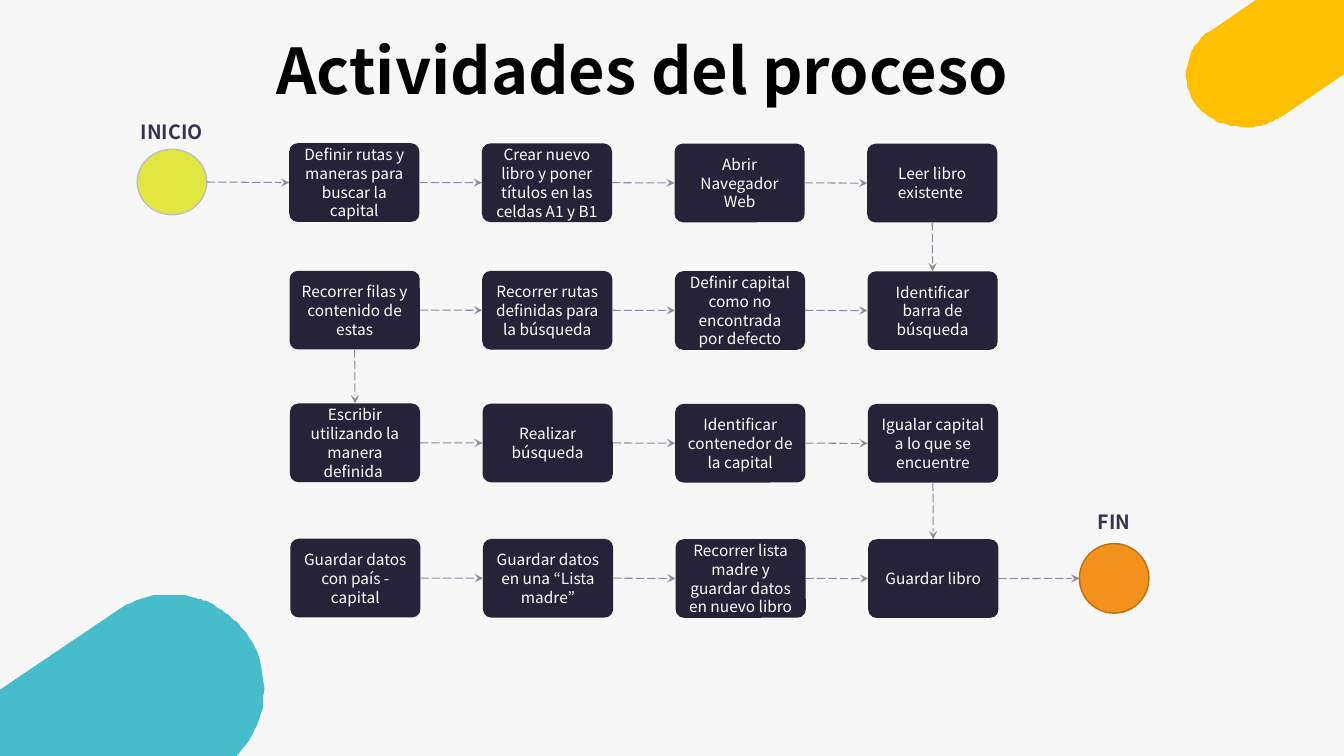
import pptx
import pptx.util
import pptx.dml.color
import pptx.enum.dml
import pptx.enum.shapes
import pptx.enum.text
import pptx.oxml
import pptx.oxml.ns

Pt = pptx.util.Pt
RGB = pptx.dml.color.RGBColor
SHAPE = pptx.enum.shapes.MSO_SHAPE
ANCHOR = pptx.enum.text.MSO_ANCHOR

FONT = "Noto Sans CJK KR"
PAPER = RGB(0xF7, 0xF7, 0xF7)
BLACK = RGB(0, 0, 0)
NAVY = RGB(0x26, 0x22, 0x37)
CREAM = RGB(0xFF, 0xFF, 0xFB)
PLUM = RGB(0x38, 0x32, 0x51)
MAUVE = RGB(0x93, 0x8A, 0xA2)
AMBER = RGB(0xFF, 0xC0, 0x00)
TEAL = RGB(0x47, 0xBC, 0xCA)
LIME = RGB(0xE1, 0xE6, 0x41)
SILVER = RGB(0xBF, 0xBF, 0xBF)
ORANGE = RGB(0xF2, 0x92, 0x1D)
RUST = RGB(0xC1, 0x6F, 0x0B)

# Grid of steps
LEFT, PITCH, DRIFT = 206.6, 137.6, 0.25
TOPS = [102.3, 193.4, 288.2, 384.8]
WIDE, HIGH = 93, 56.2
LEAD = 1.22
STEPS = [
    ["Definir rutas y maneras para buscar la capital",
     "Crear nuevo libro y poner títulos en las celdas A1 y B1",
     "Abrir Navegador Web",
     "Leer libro existente "],
    ["Recorrer filas y contenido de estas",
     "Recorrer rutas definidas para la búsqueda",
     "Definir capital como no encontrada por defecto",
     "Identificar barra de búsqueda"],
    ["Escribir utilizando la manera definida ",
     "Realizar búsqueda",
     "Identificar contenedor de la capital",
     "Igualar capital a lo que se encuentre"],
    ["Guardar datos con país - capital",
     "Guardar datos en una “Lista madre”",
     "Recorrer lista madre y guardar datos en nuevo libro",
     "Guardar libro"],
]
TURNS = [3, 0, 3]  # column of the arrow that leads down from each row

# Corner blobs: a start, then lines (one point) and curves (three points)
SUN = [[(892.1, 90.7)],
       [(878.4, 91.4), (864, 86.4), (855.4, 76.3)],
       [(841.7, 59), (846, 35.3), (864.7, 21.6)],
       [(999.4, -69.8)], [(1010.2, 18.7)], [(915.8, 82.8)],
       [(908.6, 87.8), (900.7, 90.7), (892.1, 90.7)]]
SEA = [[(139, 427)],
       [(120.2, 421.9), (100.1, 424.8), (83.5, 436.3)],
       [(-36, 517)], [(-95.8, 721.4)], [(159.1, 547.9)],
       [(190.1, 527), (198, 485.3), (177.1, 454.3)],
       [(169.2, 442.8), (158.4, 434.2), (146.9, 429.1)],
       [(144, 428.4), (141.1, 427.7), (139, 427)]]


def write(frame, text, size, color, bold=False):
    frame.word_wrap = True
    para = frame.paragraphs[0]
    para.alignment = pptx.enum.text.PP_ALIGN.CENTER
    para.space_before = Pt(0)
    para.line_spacing = Pt(round(size * LEAD, 1))
    run = para.add_run()
    run.text = text
    run.font.name = FONT
    run.font.size = Pt(size)
    run.font.bold = bold
    run.font.color.rgb = color


def paint(shape, fill, edge=None):
    shape.shadow.inherit = False
    shape.fill.solid()
    shape.fill.fore_color.rgb = fill
    if edge is None:
        shape.line.fill.background()
    else:
        shape.line.color.rgb = edge
        shape.line.width = Pt(1)


def bend(start, one, two, end, count=16):
    """Points along a cubic curve, after its start."""
    for i in range(1, count + 1):
        t = i / count
        u = 1 - t
        yield tuple(u**3 * a + 3 * u * u * t * b + 3 * u * t * t * c + t**3 * d
                    for a, b, c, d in zip(start, one, two, end))


def blob(slide, parts, fill):
    dots = list(parts[0])
    for part in parts[1:]:
        dots += part if len(part) == 1 else bend(dots[-1], *part)
    pen = slide.shapes.build_freeform(*dots[0], scale=float(Pt(1)))
    pen.add_line_segments(dots[1:], close=True)
    paint(pen.convert_to_shape(), fill)


def step(slide, row, col, text):
    box = slide.shapes.add_shape(
        SHAPE.ROUNDED_RECTANGLE, Pt(LEFT + PITCH * col + DRIFT * row),
        Pt(TOPS[row] + DRIFT * col / 2), Pt(WIDE), Pt(HIGH))
    box.adjustments[0] = 0.106
    paint(box, NAVY)
    frame = box.text_frame
    frame.vertical_anchor = ANCHOR.MIDDLE
    frame.margin_left = frame.margin_right = Pt(5.76)
    frame.margin_top = frame.margin_bottom = Pt(5.76)
    write(frame, text, 11, CREAM)
    return box


def disc(slide, x, y, high, fill, edge):
    dot = slide.shapes.add_shape(SHAPE.OVAL, Pt(x), Pt(y), Pt(49.7), Pt(high))
    paint(dot, fill, edge)
    return dot


def label(slide, x, y, text):
    box = slide.shapes.add_textbox(Pt(x), Pt(y), Pt(75), Pt(24.5))
    write(box.text_frame, text, 14, PLUM, True)


def arrow(slide, a, b, down=False):
    if down:
        ends = (a.left + a.width // 2, a.top + a.height,
                b.left + b.width // 2, b.top)
    else:
        ends = (a.left + a.width, a.top + a.height // 2,
                b.left, b.top + b.height // 2)
    link = slide.shapes.add_connector(
        pptx.enum.shapes.MSO_CONNECTOR.STRAIGHT, *ends)
    link.line.color.rgb = MAUVE
    link.line.width = Pt(0.75)
    link.line.dash_style = pptx.enum.dml.MSO_LINE.LONG_DASH
    space = pptx.oxml.ns.nsdecls("a")
    link.line._get_or_add_ln().append(
        pptx.oxml.parse_xml(f'<a:tailEnd {space} type="stealth"/>'))
    link._element.spPr.append(pptx.oxml.parse_xml(f"<a:effectLst {space}/>"))


def title(slide, text):
    head = slide.shapes.title
    head.left, head.top = Pt(181.4), Pt(18)
    head.width, head.height = Pt(554.4), Pt(66.2)
    head.text_frame.auto_size = pptx.enum.text.MSO_AUTO_SIZE.NONE
    head.text_frame.vertical_anchor = ANCHOR.TOP
    write(head.text_frame, text, 45, BLACK, True)


def main():
    deck = pptx.Presentation()
    deck.slide_width, deck.slide_height = Pt(960), Pt(540)
    slide = deck.slides.add_slide(deck.slide_layouts[5])
    slide.background.fill.solid()
    slide.background.fill.fore_color.rgb = PAPER

    # Corners and title
    blob(slide, SUN, AMBER)
    blob(slide, SEA, TEAL)
    title(slide, "Actividades del proceso")

    # Start, steps and end
    start = disc(slide, 98, 106.6, 46.8, LIME, SILVER)
    label(slide, 85.2, 82, "INICIO")
    grid = [[step(slide, r, c, text) for c, text in enumerate(row)]
            for r, row in enumerate(STEPS)]
    end = disc(slide, 771, 388.3, 49.7, ORANGE, RUST)
    label(slide, 758.2, 360.7, "FIN")

    # Arrows
    arrow(slide, start, grid[0][0])
    for row in grid:
        for a, b in zip(row, row[1:]):
            arrow(slide, a, b)
    for r, col in enumerate(TURNS):
        arrow(slide, grid[r][col], grid[r + 1][col], down=True)
    arrow(slide, grid[-1][-1], end)

    deck.save("out.pptx")


main()
